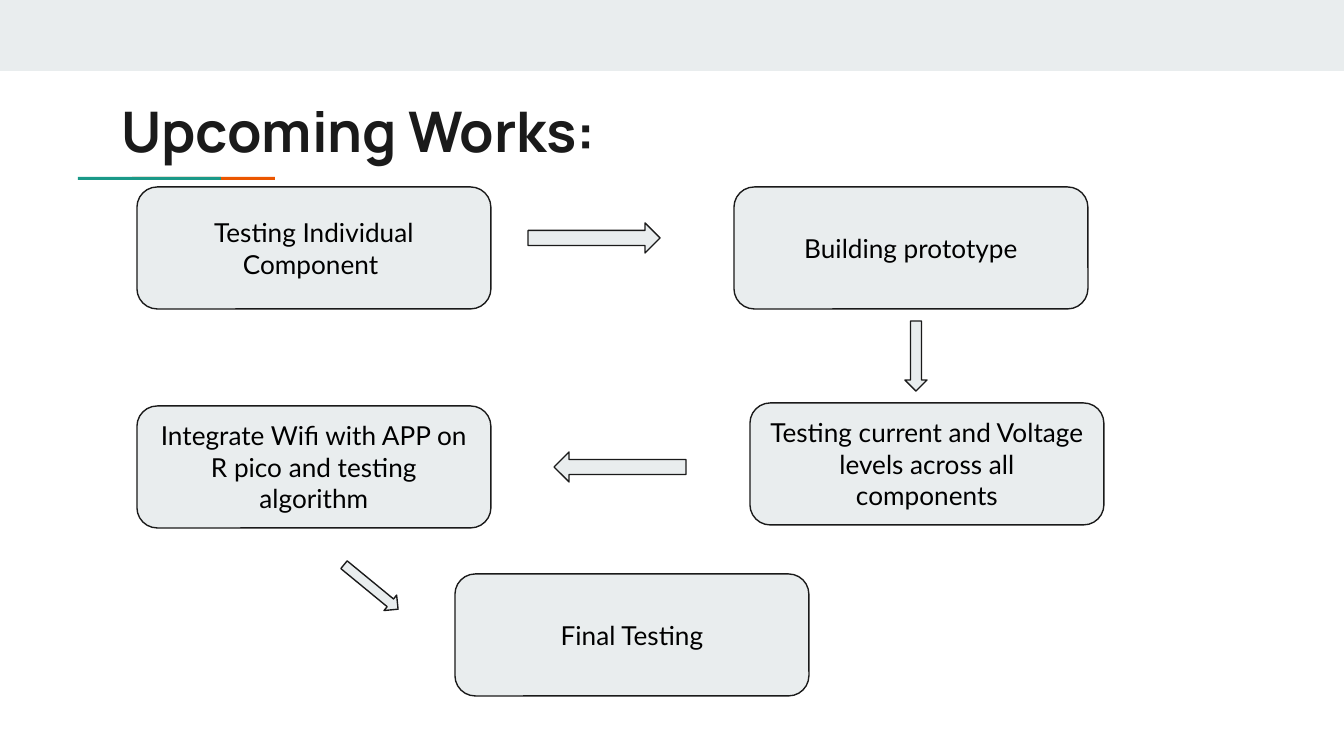
"""Build the Upcoming Works slide as a flow of five steps."""
import pptx
import pptx.dml.color
import pptx.enum.shapes
import pptx.enum.text
import pptx.util

RGBColor = pptx.dml.color.RGBColor
SHAPE = pptx.enum.shapes.MSO_SHAPE
ALIGN = pptx.enum.text.PP_ALIGN
ANCHOR = pptx.enum.text.MSO_ANCHOR

MIST = RGBColor(0xE9, 0xED, 0xEE)
INK = RGBColor(0x1A, 0x1A, 0x1A)
BLACK = RGBColor(0, 0, 0)
TEAL = RGBColor(0x1A, 0x99, 0x88)
ORANGE = RGBColor(0xEB, 0x56, 0x00)
EMU_PER_PX = 914400 / 134.4
STEP_SIZE = (354, 122)


def px(length):
    return pptx.util.Emu(round(length * EMU_PER_PX))


class FlowSlide:
    def __init__(self, slide):
        self.slide = slide
        self.title_font = "Manrope"
        self.step_font = "Lato"
        self.inset = px(13)

    def label(self, shape, words, font, size, color, bold, align, anchor):
        frame = shape.text_frame
        frame.word_wrap = True
        frame.auto_size = pptx.enum.text.MSO_AUTO_SIZE.NONE
        frame.vertical_anchor = anchor
        frame.margin_left = frame.margin_right = self.inset
        frame.margin_top = frame.margin_bottom = self.inset
        paragraph = frame.paragraphs[0]
        paragraph.alignment = align
        paragraph.line_spacing = 1.0
        paragraph.space_before = pptx.util.Pt(0)
        run = paragraph.add_run()
        run.text = words
        run.font.name = font
        run.font.size = pptx.util.Pt(size)
        run.font.bold = bold
        run.font.color.rgb = color

    def title(self, words, left, top, width, height):
        heading = self.slide.shapes.title
        heading.left, heading.top = px(left), px(top)
        heading.width, heading.height = px(width), px(height)
        self.label(heading, words, self.title_font, 30, INK, True, ALIGN.LEFT, ANCHOR.TOP)

    def figure(self, kind, fill, left, top, width, height):
        shape = self.slide.shapes.add_shape(kind, px(left), px(top), px(width), px(height))
        shape.shadow.inherit = False
        shape.fill.solid()
        shape.fill.fore_color.rgb = fill
        return shape

    def band(self, fill, left, top, width, height):
        self.figure(SHAPE.RECTANGLE, fill, left, top, width, height).line.fill.background()

    def outlined(self, kind, left, top, width, height):
        shape = self.figure(kind, MIST, left, top, width, height)
        shape.line.color.rgb = INK
        shape.line.width = pptx.util.Pt(0.75)
        return shape

    def step(self, words, left, top):
        box = self.outlined(SHAPE.ROUNDED_RECTANGLE, left, top, *STEP_SIZE)
        self.label(box, words, self.step_font, 14, BLACK, False, ALIGN.CENTER, ANCHOR.MIDDLE)

    def arrow(self, left, top, width, height, angle):
        self.outlined(SHAPE.RIGHT_ARROW, left, top, width, height).rotation = angle


def main():
    deck = pptx.Presentation()
    deck.slide_width, deck.slide_height = px(1344), px(756)
    works = FlowSlide(deck.slides.add_slide(deck.slide_layouts[5]))

    works.band(MIST, 0, 0, 1344, 71)
    works.band(ORANGE, 132, 177, 143, 3)
    works.band(TEAL, 78, 177, 143, 3)
    works.title("Upcoming Works:", 108, 83, 1130, 79)

    for words, left, top in (
        ("Testing Individual Component ", 137, 187),
        ("Building prototype", 734, 187),
        ("Testing current and Voltage levels across all components", 750, 403),
        ("Integrate Wifi with APP on R pico and testing algorithm", 137, 406),
        ("Final Testing", 455, 574),
    ):
        works.step(words, left, top)

    for left, top, width, height, angle in (
        (528, 223, 132, 30, 0),
        (881, 345, 70, 22, 90),
        (554, 452, 132, 30, 180),
        (336, 577, 70, 20, 39.4),
    ):
        works.arrow(left, top, width, height, angle)

    deck.save("out.pptx")


if __name__ == "__main__":
    main()
